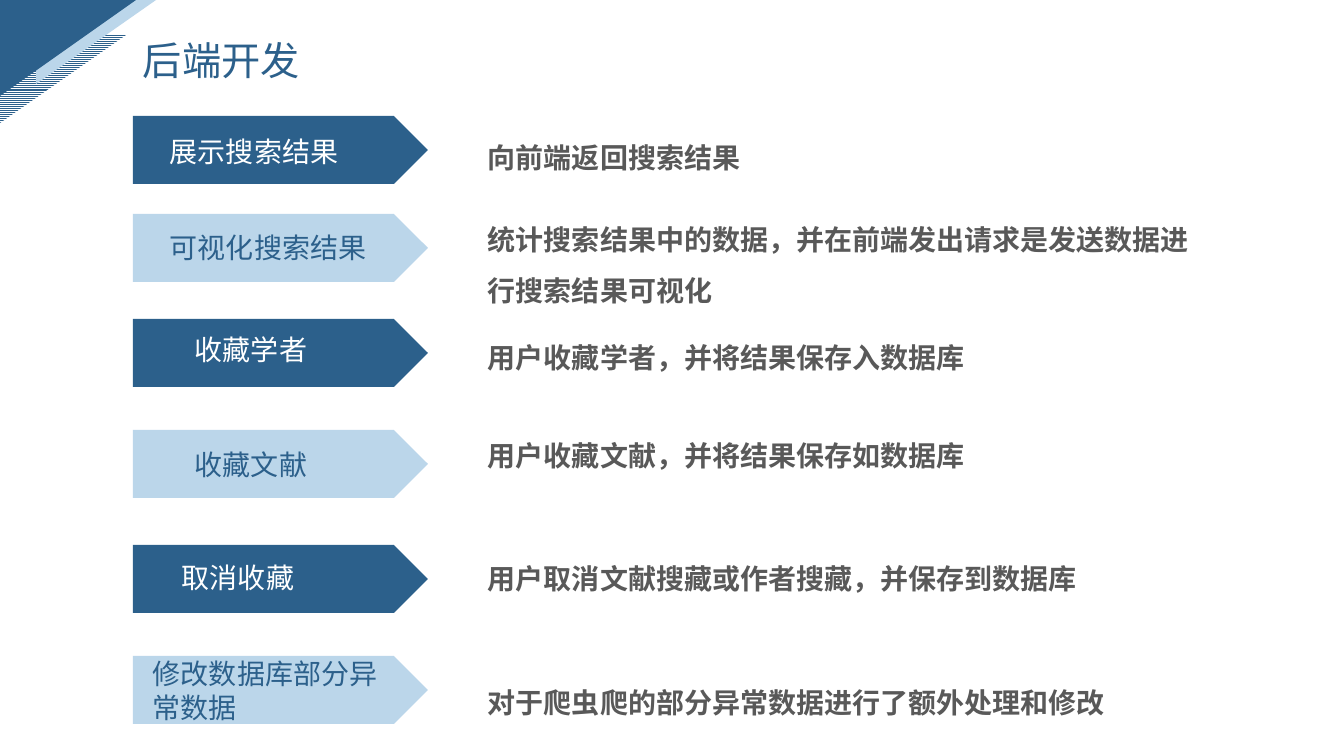
from dataclasses import dataclass

from lxml.etree import SubElement
from pptx import Presentation
from pptx.dml.color import RGBColor
from pptx.enum.dml import MSO_PATTERN
from pptx.enum.shapes import MSO_SHAPE
from pptx.oxml.ns import qn
from pptx.util import Emu, Pt


@dataclass(frozen=True)
class Theme:
    dark: RGBColor = RGBColor(0x2C, 0x60, 0x8B)
    light: RGBColor = RGBColor(0xBB, 0xD6, 0xEA)
    white: RGBColor = RGBColor(0xFF, 0xFF, 0xFF)
    body: RGBColor = RGBColor(0x59, 0x59, 0x59)
    font: str = "Noto Sans CJK SC"
    title_size: int = 28
    text_size: int = 20


def px(length):
    return Emu(round(length * 914400 / 100.8))


class SlideBuilder:
    def __init__(self, slide, theme):
        self.slide = slide
        self.theme = theme

    def shape(self, kind, left, top, width, height, color):
        shape = self.slide.shapes.add_shape(
            kind, px(left), px(top), px(width), px(height))
        shape.shadow.inherit = False
        shape.line.fill.background()
        shape.fill.solid()
        shape.fill.fore_color.rgb = color
        return shape

    def corner(self, left, top, width, height, color, striped=False):
        """Right angle at the top left; the frame is turned a quarter."""
        shift = (width - height) / 2
        triangle = self.shape(MSO_SHAPE.RIGHT_TRIANGLE, left + shift,
                              top - shift, height, width, color)
        triangle.rotation = 90
        if striped:
            triangle.fill.patterned()
            triangle.fill.pattern = MSO_PATTERN.LIGHT_HORIZONTAL
            triangle.fill.fore_color.rgb = color
            triangle.fill.back_color.rgb = self.theme.white

    def text(self, text, left, top, width, height, color, size,
             bold=False, spacing=None):
        box = self.slide.shapes.add_textbox(
            px(left), px(top), px(width), px(height))
        box.text_frame.word_wrap = True
        box.text_frame.text = text
        para = box.text_frame.paragraphs[0]
        para.line_spacing = spacing
        span = para.runs[0]
        span.font.size = Pt(size)
        span.font.bold = bold
        span.font.color.rgb = color
        span.font.name = self.theme.font
        # East Asian typeface
        SubElement(span.font._element, qn("a:ea"), typeface=self.theme.font)


# Arrow top, label left and top, label, description top, description
FEATURES = [
    (116, 160, 130, "展示搜索结果", 119, "向前端返回搜索结果"),
    (214, 160, 226, "可视化搜索结果", 201,
     "统计搜索结果中的数据，并在前端发出请求是发送数据进行搜索结果可视化"),
    (319, 185, 328, "收藏学者", 319, "用户收藏学者，并将结果保存入数据库"),
    (430, 185, 443, "收藏文献", 417, "用户收藏文献，并将结果保存如数据库"),
    (545, 172, 556, "取消收藏", 540, "用户取消文献搜藏或作者搜藏，并保存到数据库"),
    (656, 143, 652, "修改数据库部分异常数据", 664,
     "对于爬虫爬的部分异常数据进行了额外处理和修改"),
]


def main():
    theme = Theme()
    deck = Presentation()
    deck.slide_width, deck.slide_height = px(1344), px(756)
    page = SlideBuilder(deck.slides.add_slide(deck.slide_layouts[6]), theme)

    # Corner decoration
    page.corner(0, 35, 126, 88, theme.dark, striped=True)
    page.corner(36, 0, 120, 84, theme.light)
    page.corner(0, 0, 136, 96, theme.dark)

    # Title
    page.text("后端开发", 133, 31, 261, 57, theme.dark, theme.title_size)

    # Features, alternating dark and light arrows
    colors = [(theme.dark, theme.white), (theme.light, theme.dark)]
    for index, feature in enumerate(FEATURES):
        arrow_top, label_left, label_top, label, detail_top, detail = feature
        fill, ink = colors[index % 2]
        page.shape(MSO_SHAPE.PENTAGON, 133, arrow_top, 295, 68, fill)
        page.text(label, label_left, label_top, 266, 44, ink, theme.text_size)
        page.text(detail, 478, detail_top, 746, 60, theme.body,
                  theme.text_size, bold=True, spacing=1.5)

    deck.save("out.pptx")


if __name__ == "__main__":
    main()
